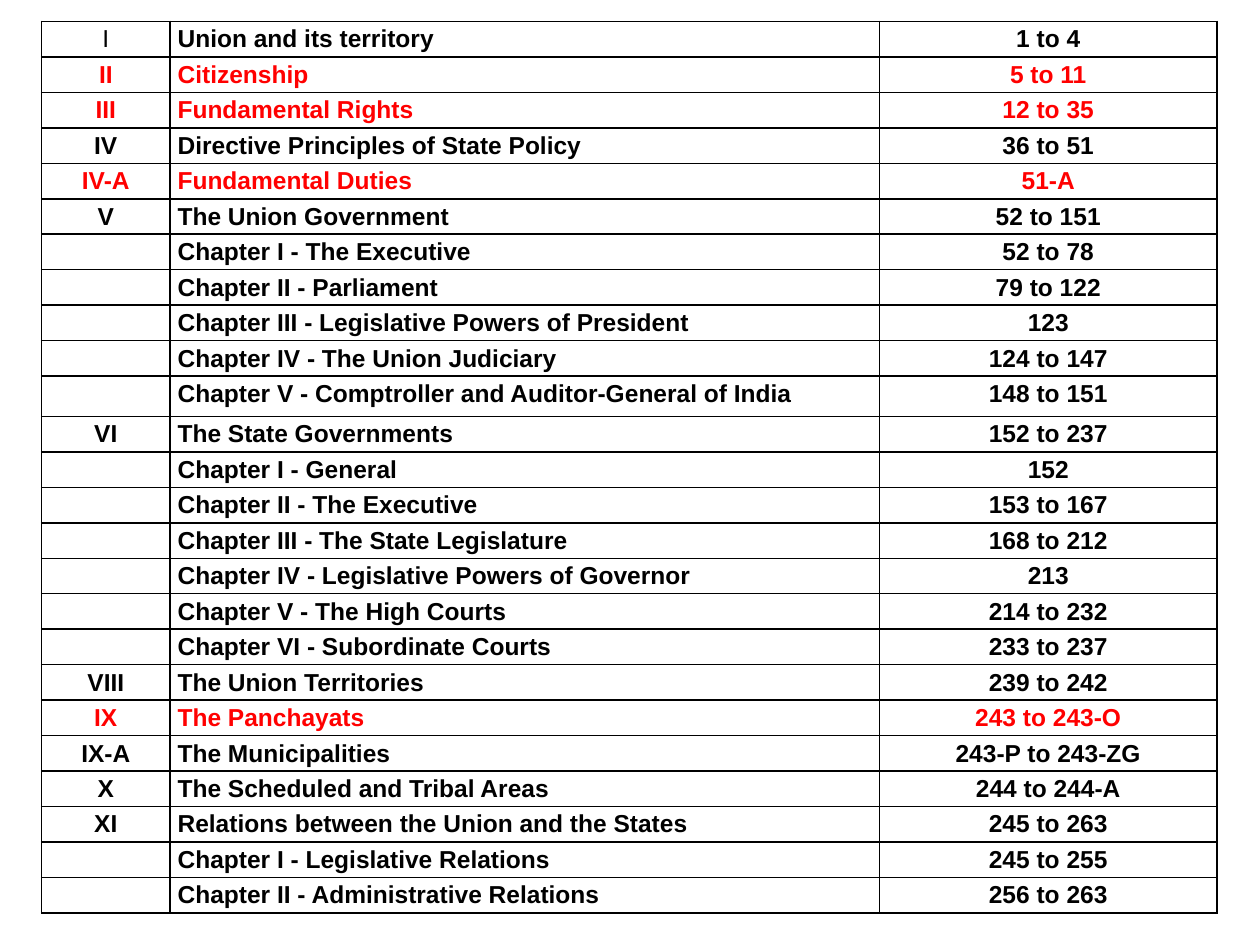
from lxml import etree
from pptx import Presentation
from pptx.dml.color import RGBColor
from pptx.enum.text import PP_ALIGN
from pptx.oxml.ns import qn
from pptx.util import Pt

PX = 9144  # 100 px to the inch
LEFT, CENTER = PP_ALIGN.LEFT, PP_ALIGN.CENTER
BLACK = RGBColor(0, 0, 0)
RED = RGBColor(255, 0, 0)
FONT, SIZE = "Arial", Pt(14)

COLUMN_WIDTHS = (102, 563, 268)
COLUMN_ALIGNS = (CENTER, LEFT, CENTER)
TALL_ROW, TALL_HEIGHT = 10, 32
RED_PARTS = {"II", "III", "IV-A", "IX"}
PARTS = [
    ("I", "Union and its territory", "1 to 4"),
    ("II", "Citizenship", "5 to 11"),
    ("III", "Fundamental Rights", "12 to 35"),
    ("IV", "Directive Principles of State Policy", "36 to 51"),
    ("IV-A", "Fundamental Duties", "51-A"),
    ("V", "The Union Government", "52 to 151"),
    ("", "Chapter I - The Executive", "52 to 78"),
    ("", "Chapter II - Parliament", "79 to 122"),
    ("", "Chapter III - Legislative Powers of President", "123"),
    ("", "Chapter IV - The Union Judiciary", "124 to 147"),
    ("", "Chapter V - Comptroller and Auditor-General of India", "148 to 151"),
    ("VI", "The State Governments", "152 to 237"),
    ("", "Chapter I - General", "152"),
    ("", "Chapter II - The Executive", "153 to 167"),
    ("", "Chapter III - The State Legislature", "168 to 212"),
    ("", "Chapter IV - Legislative Powers of Governor", "213"),
    ("", "Chapter V - The High Courts", "214 to 232"),
    ("", "Chapter VI - Subordinate Courts", "233 to 237"),
    ("VIII", "The Union Territories", "239 to 242"),
    ("IX", "The Panchayats", "243 to 243-O"),
    ("IX-A", "The Municipalities", "243-P to 243-ZG"),
    ("X", "The Scheduled and Tribal Areas", "244 to 244-A"),
    ("XI", "Relations between the Union and the States", "245 to 263"),
    ("", "Chapter I - Legislative Relations", "245 to 255"),
    ("", "Chapter II - Administrative Relations", "256 to 263"),
]


def add_borders(cell):
    tcPr = cell._tc.get_or_add_tcPr()
    for side in ("a:lnL", "a:lnR", "a:lnT", "a:lnB"):
        ln = etree.SubElement(tcPr, qn(side), w=str(Pt(1)))
        fill = etree.SubElement(ln, qn("a:solidFill"))
        etree.SubElement(fill, qn("a:srgbClr"), val=str(BLACK))


def fill_cell(cell, text, align, color, bold):
    add_borders(cell)
    cell.fill.background()
    cell.margin_left = cell.margin_right = 6 * PX
    cell.margin_top = cell.margin_bottom = 0
    p = cell.text_frame.paragraphs[0]
    p.alignment = align
    p.line_spacing = 1.15
    if not text:
        # keeps an empty cell from stretching its row
        p._p.get_or_add_endParaRPr().set("sz", str(int(SIZE.pt * 100)))
        return
    r = p.add_run()
    r.text = text
    r.font.name = FONT
    r.font.size = SIZE
    r.font.bold = bold
    r.font.color.rgb = color


def add_parts_table(s, x, y, w, h):
    frame = s.shapes.add_table(len(PARTS), len(COLUMN_WIDTHS),
                               x * PX, y * PX, w * PX, h * PX)
    table = frame.table
    table.first_row = table.horz_banding = False
    for column, width in zip(table.columns, COLUMN_WIDTHS):
        column.width = width * PX
    row_height = (h - TALL_HEIGHT) * PX // (len(PARTS) - 1)
    for i, part in enumerate(PARTS):
        table.rows[i].height = TALL_HEIGHT * PX if i == TALL_ROW else row_height
        color = RED if part[0] in RED_PARTS else BLACK
        for j, (text, align) in enumerate(zip(part, COLUMN_ALIGNS)):
            fill_cell(table.cell(i, j), text, align, color, bold=(i, j) != (0, 0))


def main():
    prs = Presentation()
    prs.slide_width, prs.slide_height = 1000 * PX, 750 * PX
    s = prs.slides.add_slide(prs.slide_layouts[6])
    add_parts_table(s, 33, 17, sum(COLUMN_WIDTHS), 708)
    prs.save("out.pptx")


if __name__ == "__main__":
    main()
